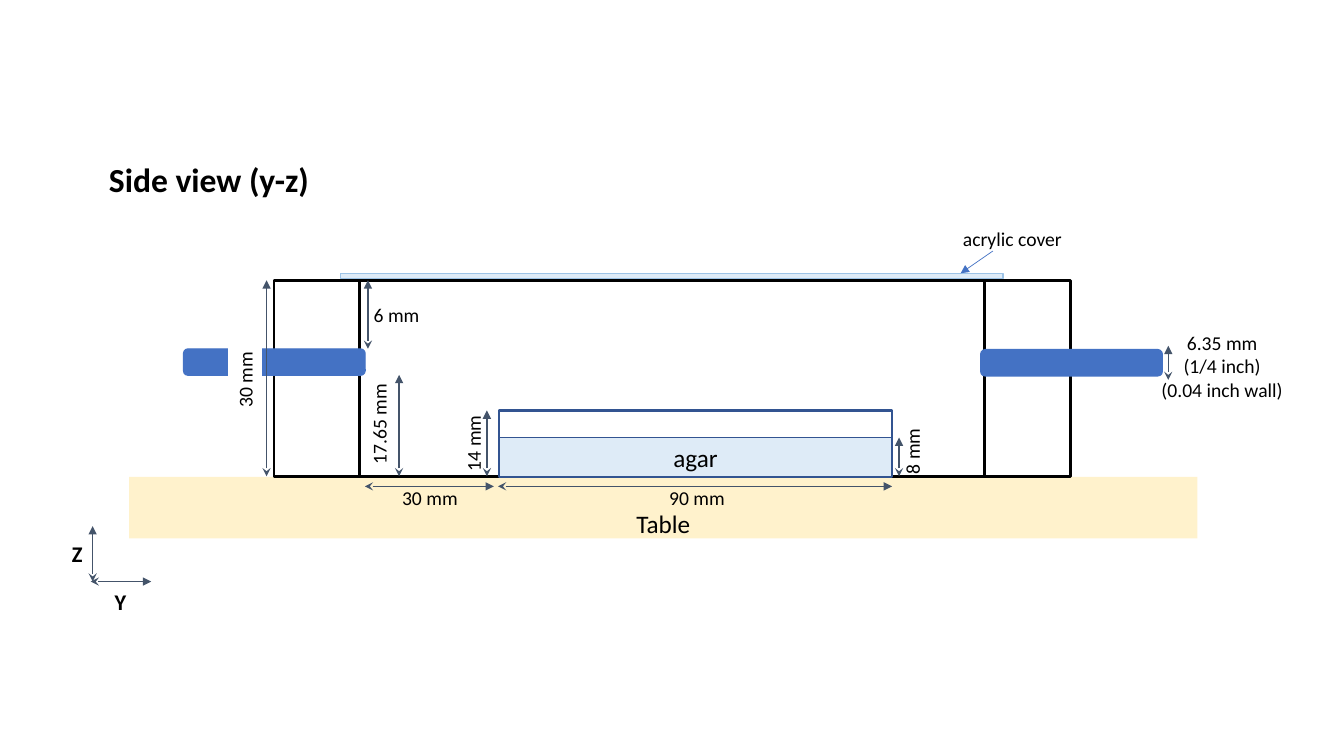
import pptx
import pptx.util
import pptx.dml.color
import pptx.enum.shapes
import pptx.enum.text
import pptx.oxml.ns
from lxml import etree

Pt = pptx.util.Pt
SHAPES = pptx.enum.shapes.MSO_SHAPE
ALIGN = pptx.enum.text.PP_ALIGN
ANCHOR = pptx.enum.text.MSO_ANCHOR

BLACK, SLATE, BLUE, NAVY = "000000", "44546A", "4472C4", "325491"
PALE_BLUE, SKY, SAND, WHITE = "DEEBF7", "9DC3E6", "FFF2CC", "FFFFFF"

# Shared heights of the chamber, in points
RIM, FLOOR = 200.2, 340.2
DISH_LEFT, DISH_WIDTH, DISH_TOP, AGAR_TOP = 356.4, 280.8, 293.2, 312.6


def color(hex_value):
    return pptx.dml.color.RGBColor.from_string(hex_value)


def write(shape, text, size, bold=False, align=ALIGN.CENTER,
          anchor=ANCHOR.TOP, wrap=True, **frame_format):
    """Fill a shape's text frame with evenly formatted lines."""
    frame = shape.text_frame
    frame_values = {"auto_size": pptx.enum.text.MSO_AUTO_SIZE.NONE,
                    "vertical_anchor": anchor, "word_wrap": wrap, **frame_format}
    for key, value in frame_values.items():
        setattr(frame, key, value)
    frame.text = text
    font_values = {"name": "Calibri", "size": Pt(size), "bold": bold}
    for paragraph in frame.paragraphs:
        paragraph.alignment = align
        for key, value in font_values.items():
            setattr(paragraph.font, key, value)
        paragraph.font.color.rgb = color(BLACK)


def add_block(slide, left, top, width, height, fill=None, line=None,
              weight=1, kind=SHAPES.RECTANGLE):
    """Draw a solid or hollow part of the apparatus."""
    block = slide.shapes.add_shape(kind, Pt(left), Pt(top), Pt(width), Pt(height))
    block.shadow.inherit = False
    if fill:
        block.fill.solid()
        block.fill.fore_color.rgb = color(fill)
    else:
        block.fill.background()
    if line:
        block.line.color.rgb = color(line)
        block.line.width = Pt(weight)
    else:
        block.line.fill.background()
    return block


def add_label(slide, text, left, top, width, height=24.2, size=14,
              bold=False, rotation=0, fill=None):
    label = slide.shapes.add_textbox(Pt(left), Pt(top), Pt(width), Pt(height))
    label.rotation = rotation
    if fill:
        label.fill.solid()
        label.fill.fore_color.rgb = color(fill)
    write(label, text, size, bold)


def add_arrow(slide, x1, y1, x2, y2, line=SLATE, weight=1, head="stealth"):
    """Draw an arrow; dimension arrows also have a head at their start."""
    arrow = slide.shapes.add_connector(
        pptx.enum.shapes.MSO_CONNECTOR.STRAIGHT, Pt(x1), Pt(y1), Pt(x2), Pt(y2))
    arrow.line.color.rgb = color(line)
    arrow.line.width = Pt(weight)
    stroke = arrow.line._get_or_add_ln()
    for tag, end in (("a:headEnd", head), ("a:tailEnd", "triangle")):
        if end:
            etree.SubElement(stroke, pptx.oxml.ns.qn(tag), type=end)
    etree.SubElement(arrow._element.spPr, pptx.oxml.ns.qn("a:effectLst"))


def add_title(slide, text):
    title = slide.shapes.title
    place = {"left": 70.6, "top": 110.2, "width": 159.1, "height": 36}
    for key, value in place.items():
        setattr(title, key, Pt(value))
    write(title, text, 24, bold=True, align=ALIGN.LEFT, wrap=False)


def draw_apparatus(slide):
    table = add_block(slide, 92.2, 340.6, 763.2, 43.9, SAND)
    write(table, "Table", 18, anchor=ANCHOR.BOTTOM, margin_bottom=0)

    # Chamber: inner space and outer walls
    for left, width in ((257, 446.4), (195.8, 568.8)):
        add_block(slide, left, RIM, width, FLOOR - RIM, line=BLACK, weight=2)

    # Inlet and outlet tubes
    for left, top in ((131.2, 249.3), (700.6, 249.8)):
        add_block(slide, left, top, 129.6, 18.7, BLUE, BLUE,
                  kind=SHAPES.ROUNDED_RECTANGLE)

    # Dish with agar
    add_block(slide, DISH_LEFT, DISH_TOP, DISH_WIDTH, FLOOR - DISH_TOP,
              line=NAVY, weight=2)
    agar = add_block(slide, DISH_LEFT, AGAR_TOP, DISH_WIDTH, FLOOR - AGAR_TOP,
                     PALE_BLUE, NAVY)
    write(agar, "agar", 18, anchor=ANCHOR.MIDDLE)

    # Cover and its callout
    add_block(slide, 243.4, 195.4, 473, 3.6, PALE_BLUE, SKY)
    add_arrow(slide, 709.2, 179.3, 686.2, 195.2, BLUE, 0.5, head=None)
    add_label(slide, "acrylic cover", 673.2, 158.4, 100)


def draw_dimensions(slide):
    # Upright labels
    for text, left, top, width in (
            ("6 mm", 248.4, 213.1, 69.8),
            ("30 mm", 272.2, 343.6, 69.8),
            ("90 mm", 463, 343.6, 69.8)):
        add_label(slide, text, left, top, width)
    add_label(slide, "6.35 mm\n(1/4 inch)\n(0.04 inch wall)",
              820.8, 232.6, 104.4, 58.3)

    # Labels turned to read upwards
    for text, left, top, width, fill in (
            ("17.65 mm", 231.8, 290.9, 77.8, None),
            ("14 mm", 303.1, 304.6, 69.8, None),
            ("8 mm", 622.8, 310.3, 57.6, None),
            ("30 mm", 136.1, 259.2, 77.8, WHITE)):
        add_label(slide, text, left, top, width, rotation=270, fill=fill)

    # Heights: x, bottom, top
    for x, bottom, top in (
            (190.4, FLOOR, RIM), (262.8, 249.1, RIM), (285.1, FLOOR, 267.8),
            (347.8, FLOOR, DISH_TOP), (642.2, FLOOR, AGAR_TOP),
            (834.5, 271.4, 247)):
        add_arrow(slide, x, bottom, x, top)

    # Widths: left, right
    for left, right in ((260.6, 352.8), (355.7, DISH_LEFT + DISH_WIDTH)):
        add_arrow(slide, left, 347.4, right, 347.4)


def draw_axes(slide):
    add_arrow(slide, 64.8, 415.4, 108, 415.4)
    add_arrow(slide, 66.2, 415.4, 66.2, 375.8)
    for name, left, top in (("Z", 39.6, 382.3), ("Y", 70.6, 416.5)):
        add_label(slide, name, left, top, 31, 26.6, size=16, bold=True)


def main():
    deck = pptx.Presentation()
    deck.slide_width, deck.slide_height = Pt(960), Pt(540)
    slide = deck.slides.add_slide(deck.slide_layouts.get_by_name("Title Only"))
    add_title(slide, "Side view (y-z)")
    draw_apparatus(slide)
    draw_dimensions(slide)
    draw_axes(slide)
    deck.save("out.pptx")


if __name__ == "__main__":
    main()
